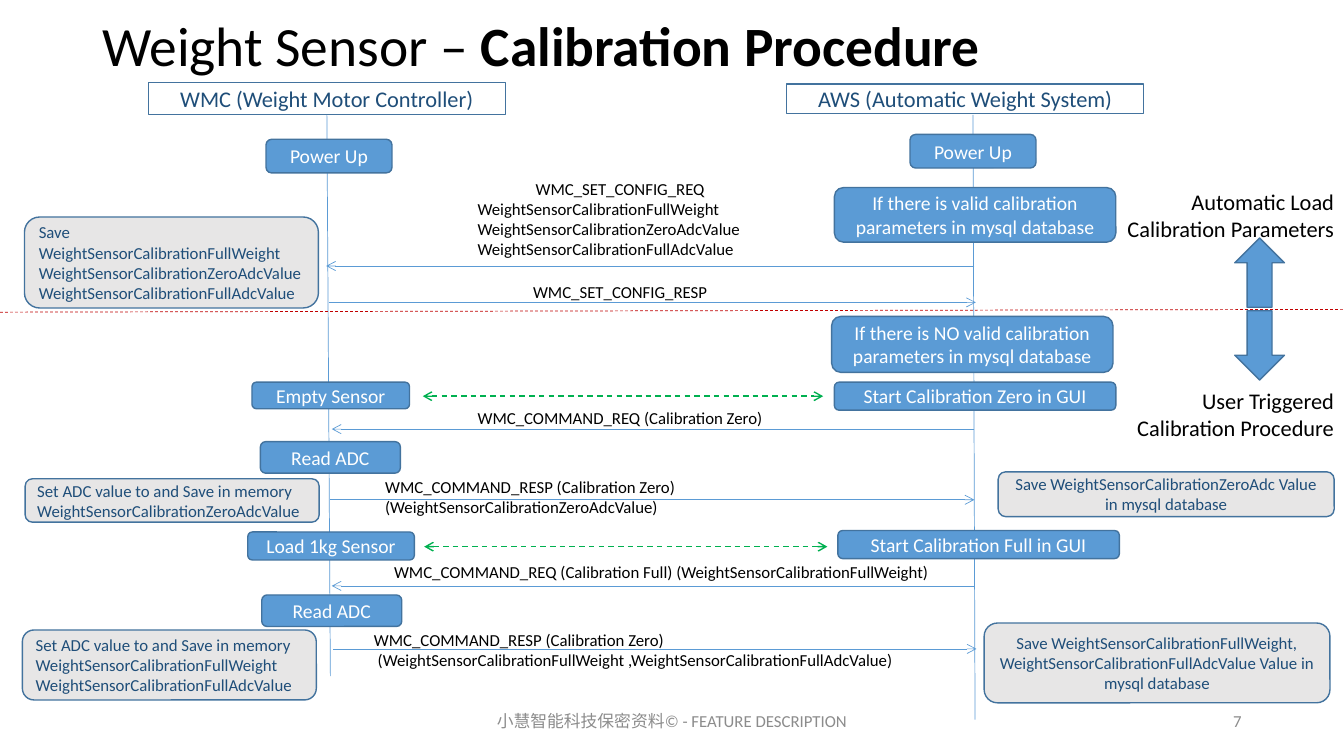
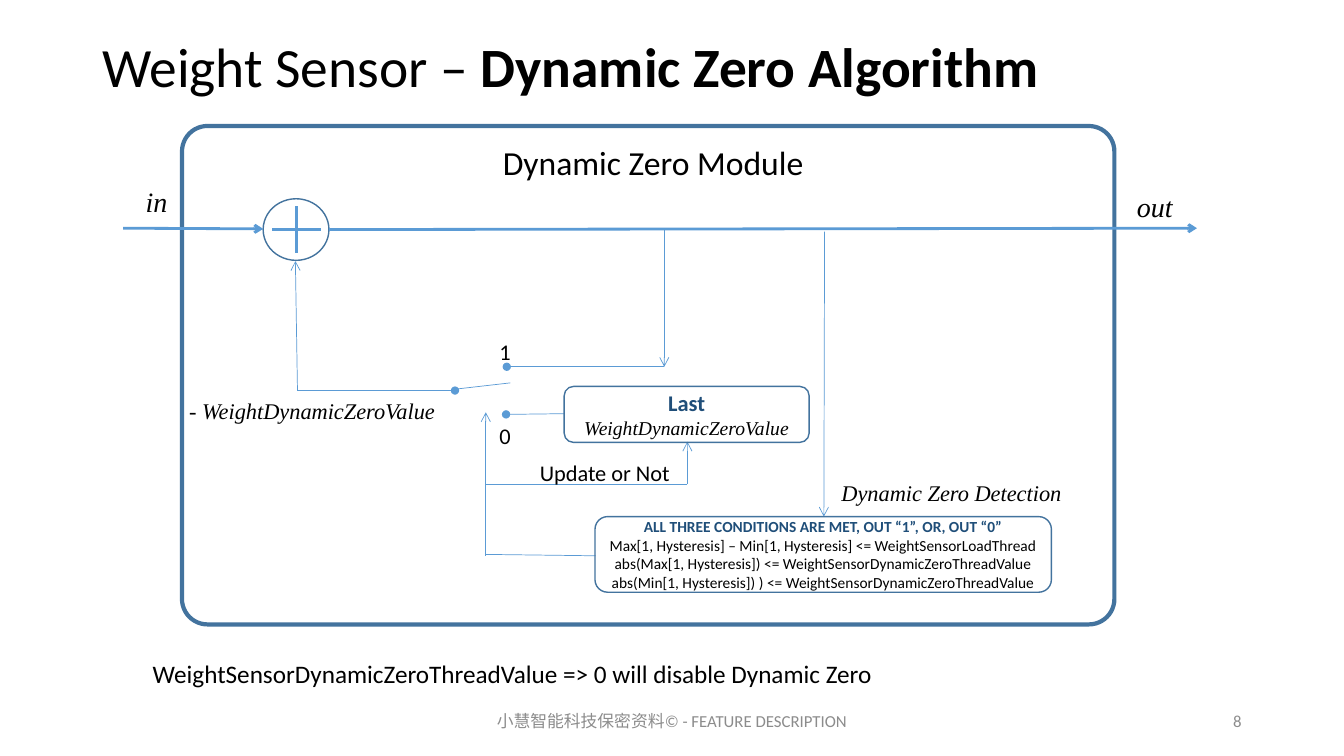
"""Build the weight sensor calibration and dynamic zero slides."""
from lxml import etree
from pptx import Presentation
from pptx import util as u
from pptx.dml.color import RGBColor
from pptx.enum import dml, shapes, text
from pptx.oxml import ns

COLORS = {
    "blue": "5B9BD5", "edge": "43739E", "navy": "1F4E79", "gray": "E7E6E6",
    "muted": "8C8C8C", "red": "C00000", "green": "00B050", "black": "000000", "white": "FFFFFF",
}
RECTANGLE = shapes.MSO_SHAPE.RECTANGLE
ROUNDED = shapes.MSO_SHAPE.ROUNDED_RECTANGLE
LEFT, CENTER, RIGHT = text.PP_ALIGN.LEFT, text.PP_ALIGN.CENTER, text.PP_ALIGN.RIGHT
TOP, MIDDLE = text.MSO_ANCHOR.TOP, text.MSO_ANCHOR.MIDDLE
SERIF = {"name": "Times New Roman", "italic": True}

BASE = {"size": 12, "color": "black", "align": LEFT, "anchor": TOP, "wrap": True, "font": {}}
STYLES = {name: {**BASE, **changes} for name, changes in {
    "title": {"size": 39.6, "anchor": MIDDLE, "spacing": 0.9},
    "footer": {"color": "muted", "align": CENTER, "anchor": MIDDLE},
    "number": {"color": "muted", "align": RIGHT, "anchor": MIDDLE},
    "header": {"size": 16, "color": "navy", "align": CENTER, "anchor": MIDDLE},
    "step": {"size": 14, "color": "white", "align": CENTER, "anchor": MIDDLE},
    "memory": {"color": "navy", "anchor": MIDDLE},
    "database": {"color": "navy", "align": CENTER, "anchor": MIDDLE},
    "message": {},
    "request": {"align": CENTER},
    "phase": {"size": 16, "align": RIGHT},
    "switch": {"size": 16, "align": CENTER, "anchor": MIDDLE},
    "signal": {"size": 20, "wrap": False, "font": SERIF},
    "value": {"size": 16, "wrap": False, "font": SERIF},
    "module": {"size": 24, "align": CENTER, "wrap": False},
    "note": {"size": 18, "wrap": False},
    "last": {"size": 16, "color": "navy", "align": CENTER, "anchor": MIDDLE},
    "conditions": {"size": 11, "align": CENTER, "anchor": MIDDLE},
}.items()}


def rgb(color):
    return RGBColor.from_string(COLORS[color])


def points(values):
    return [u.Pt(value) for value in values]


def write(shape, paragraphs, style_name):
    style = STYLES[style_name]
    frame = shape.text_frame
    frame.word_wrap = style["wrap"]
    frame.vertical_anchor = style["anchor"]
    for index, content in enumerate(paragraphs):
        paragraph = frame.add_paragraph() if index else frame.paragraphs[0]
        runs, align = content if isinstance(content, tuple) else (content, style["align"])
        paragraph.alignment = align
        if "spacing" in style:
            paragraph.line_spacing = style["spacing"]
        for words, changes in [(runs, {})] if isinstance(runs, str) else runs:
            run = paragraph.add_run()
            run.text = words
            values = {"name": "Calibri", "size": style["size"], "color": style["color"],
                      **style["font"], **changes}
            run.font.color.rgb = rgb(values.pop("color"))
            values["size"] = u.Pt(values["size"])
            for attribute, value in values.items():
                setattr(run.font, attribute, value)


def label(slide, frame, style_name, *paragraphs):
    write(slide.shapes.add_textbox(*points(frame)), paragraphs, style_name)


def box(slide, frame, style_name=None, *paragraphs, kind=ROUNDED, fill=None, width=1):
    shape = slide.shapes.add_shape(kind, *points(frame))
    shape.shadow.inherit = False
    if fill:
        shape.fill.solid()
        shape.fill.fore_color.rgb = rgb(fill)
    else:
        shape.fill.background()
    shape.line.color.rgb = rgb("edge")
    shape.line.width = u.Pt(width)
    if style_name:
        write(shape, paragraphs, style_name)
    return shape


def link(slide, start, end, color="blue", width=0.5, dashed=False, head=None, tail=None):
    connector = slide.shapes.add_connector(shapes.MSO_CONNECTOR.STRAIGHT, *points(start + end))
    connector.line.color.rgb = rgb(color)
    connector.line.width = u.Pt(width)
    if dashed:
        connector.line.dash_style = dml.MSO_LINE.DASH
    properties = connector.element.spPr
    outline = properties.find(ns.qn("a:ln"))
    for tag, mark in (("a:headEnd", head), ("a:tailEnd", tail)):
        if mark:
            etree.SubElement(outline, ns.qn(tag), type=mark)
    etree.SubElement(properties, ns.qn("a:effectLst"))


def add_slide(presentation, topic, title_top, title_height, number):
    slide = presentation.slides.add_slide(presentation.slide_layouts[6])
    label(slide, (66, title_top, 828, title_height), "title",
          [("Weight Sensor – ", {}), (topic, {"bold": True})])
    label(slide, (318, 500.5, 324, 29), "footer", "小慧智能科技保密资料© - FEATURE DESCRIPTION")
    label(slide, (678, 500.5, 216, 29), "number", str(number))
    return slide


def build_calibration(presentation):
    slide = add_slide(presentation, "Calibration Procedure", 9, 52, 7)
    full_weight = "WeightSensorCalibrationFullWeight"
    full_adc = "WeightSensorCalibrationFullAdcValue"
    zero_adc = "WeightSensorCalibrationZeroAdcValue"

    for frame, name in [
        ((106, 59, 255, 23), "WMC (Weight Motor Controller)"),
        ((562, 60, 255, 21), "AWS (Automatic Weight System)"),
    ]:
        box(slide, frame, "header", name, kind=RECTANGLE)
    link(slide, (233.5, 82), (236, 483))
    link(slide, (695, 82), (696.5, 514))

    for y, start, end in [
        (190, 696, 233), (216, 235, 697), (306.5, 696, 237),
        (357, 236, 696), (418.5, 696, 237), (463.5, 238, 697.5),
    ]:
        link(slide, (start, y), (end, y), tail="arrow")
    for y, start, end in [(283, 302, 588), (390.5, 303, 591)]:
        link(slide, (start, y), (end, y), "green", 1, True, "arrow", "arrow")

    for frame, step in [
        ((190, 99.5, 90, 24), "Power Up"),
        ((180, 273, 112.5, 19), "Empty Sensor"),
        ((186, 315.5, 100, 22.5), "Read ADC"),
        ((177, 380, 119, 20), "Load 1kg Sensor"),
        ((187, 425, 100, 22.5), "Read ADC"),
        ((650, 96, 90, 24), "Power Up"),
        ((596, 134, 201, 39), "If there is valid calibration parameters in mysql database"),
        ((594, 226, 201, 40), "If there is NO valid calibration parameters in mysql database"),
        ((596, 273, 201, 20), "Start Calibration Zero in GUI"),
        ((598.5, 379, 201, 20), "Start Calibration Full in GUI"),
    ]:
        box(slide, frame, "step", step, fill="blue")

    saved = "Set ADC value to and Save in memory"
    for frame, style_name, lines in [
        ((17.5, 155, 210, 65), "memory", ["Save", full_weight, zero_adc, full_adc]),
        ((18, 342, 210, 31), "memory", [saved, zero_adc]),
        ((16, 450, 210, 50), "memory", [f"{saved} {full_weight}", full_adc]),
        ((713, 337, 240, 32), "database",
         ["Save WeightSensorCalibrationZeroAdc Value in mysql database"]),
        ((703, 445, 247, 57), "database",
         [f"Save {full_weight}, {full_adc} Value in mysql database"]),
    ]:
        box(slide, frame, style_name, *lines, fill="gray")

    for frame, style_name, lines in [
        ((334, 124, 218, 65), "message",
         [("WMC_SET_CONFIG_REQ", CENTER), full_weight, zero_adc, full_adc]),
        ((334, 198, 218, 22), "request", ["WMC_SET_CONFIG_RESP"]),
        ((328, 288, 230, 22), "request", ["WMC_COMMAND_REQ (Calibration Zero)"]),
        ((268, 337, 400, 36), "message", [f"WMC_COMMAND_RESP (Calibration Zero) ({zero_adc})"]),
        ((266, 398, 413, 22), "request", [f"WMC_COMMAND_REQ (Calibration Full) ({full_weight})"]),
        ((260, 446, 419, 36), "message",
         ["WMC_COMMAND_RESP (Calibration Zero)", f" ({full_weight} ,{full_adc})"]),
        ((793, 131, 167, 46), "phase", ["Automatic Load Calibration Parameters"]),
        ((796, 273, 164, 46), "phase", ["User Triggered Calibration Procedure"]),
    ]:
        label(slide, frame, style_name, *lines)

    link(slide, (0, 223), (960, 221), "red", dashed=True)
    for kind, top in [(shapes.MSO_SHAPE.UP_ARROW, 170), (shapes.MSO_SHAPE.DOWN_ARROW, 222)]:
        box(slide, (882, top, 35.5, 49.5), kind=kind, fill="blue")


def build_dynamic_zero(presentation):
    slide = add_slide(presentation, "Dynamic Zero Algorithm", 29, 42, 8)
    module = box(slide, (130, 90, 666, 356), width=3)
    module.adjustments[0] = 0.051
    box(slide, (188, 142, 47, 44), kind=shapes.MSO_SHAPE.OVAL)

    for start, end, tail in [
        ((88, 163), (188, 163.5), "arrow"),
        ((235, 164), (855, 163), "arrow"),
        ((212, 147.5), (212, 181), None),
        ((194.5, 164), (229, 164), None),
    ]:
        link(slide, start, end, width=2, tail=tail)
    for start, end, tail in [
        ((212.5, 279), (211, 186.5), "arrow"),
        ((212.5, 279), (325, 279), "oval"),
        ((474.5, 262), (362, 262), "oval"),
        ((403, 295.5), (361.5, 296), "oval"),
        ((474.5, 164), (474.5, 262), "arrow"),
        ((325, 278), (364.5, 273.5), None),
        ((347, 397), (347, 294.5), "arrow"),
        ((347, 396), (425.5, 397), None),
        ((589, 165.5), (588.5, 369), "arrow"),
        ((347, 346), (491, 346), None),
        ((491, 346), (491, 315.5), "arrow"),
    ]:
        link(slide, start, end, tail=tail)

    box(slide, (403, 276, 175, 40), "last",
        [("Last ", {"bold": True}),
         ("WeightDynamicZeroValue", {**SERIF, "size": 14, "color": "black"})])
    box(slide, (425, 369, 326, 54), "conditions",
        [("ALL THREE CONDITIONS ARE MET, OUT “1”, OR, OUT “0”", {"bold": True, "color": "navy"})],
        "Max[1, Hysteresis] – Min[1, Hysteresis] <= WeightSensorLoadThread",
        "abs(Max[1, Hysteresis]) <= WeightSensorDynamicZeroThreadValue",
        "abs(Min[1, Hysteresis]) ) <= WeightSensorDynamicZeroThreadValue")

    for frame, style_name, words in [
        ((333, 236, 55.5, 30), "switch", "1"),
        ((333, 296, 55.5, 30), "switch", "0"),
        ((372, 322.5, 120, 30), "switch", "Update or Not"),
        ((128, 280, 193, 27), "value", "- WeightDynamicZeroValue"),
        ((594, 339, 174, 27), "value", "Dynamic Zero Detection"),
        ((97, 128, 30, 32), "signal", "in"),
        ((805, 132, 40, 32), "signal", "out"),
        ((351, 98, 231, 36), "module", "Dynamic Zero Module"),
        ((102, 467, 534, 29), "note",
         "WeightSensorDynamicZeroThreadValue => 0 will disable Dynamic Zero"),
    ]:
        label(slide, frame, style_name, words)


def main():
    presentation = Presentation()
    presentation.slide_width, presentation.slide_height = points((960, 540))
    build_calibration(presentation)
    build_dynamic_zero(presentation)
    presentation.save("out.pptx")


if __name__ == "__main__":
    main()
